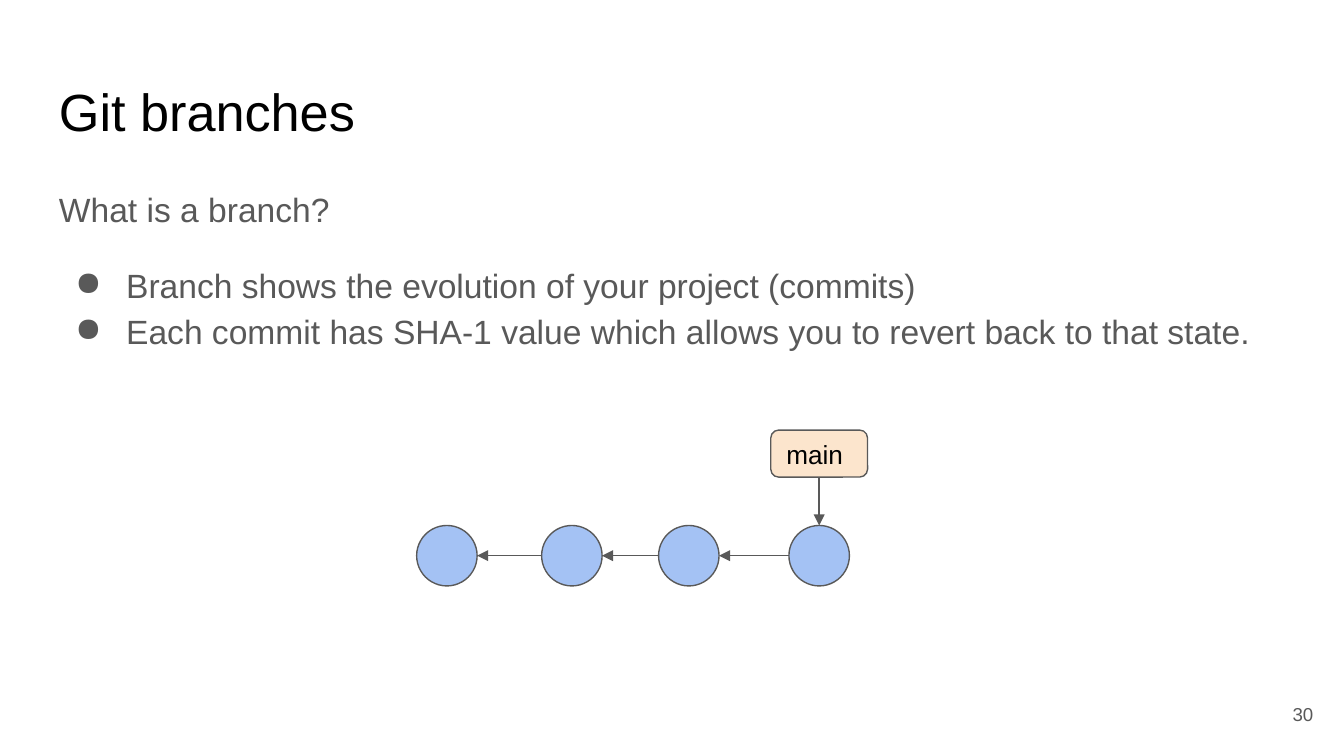
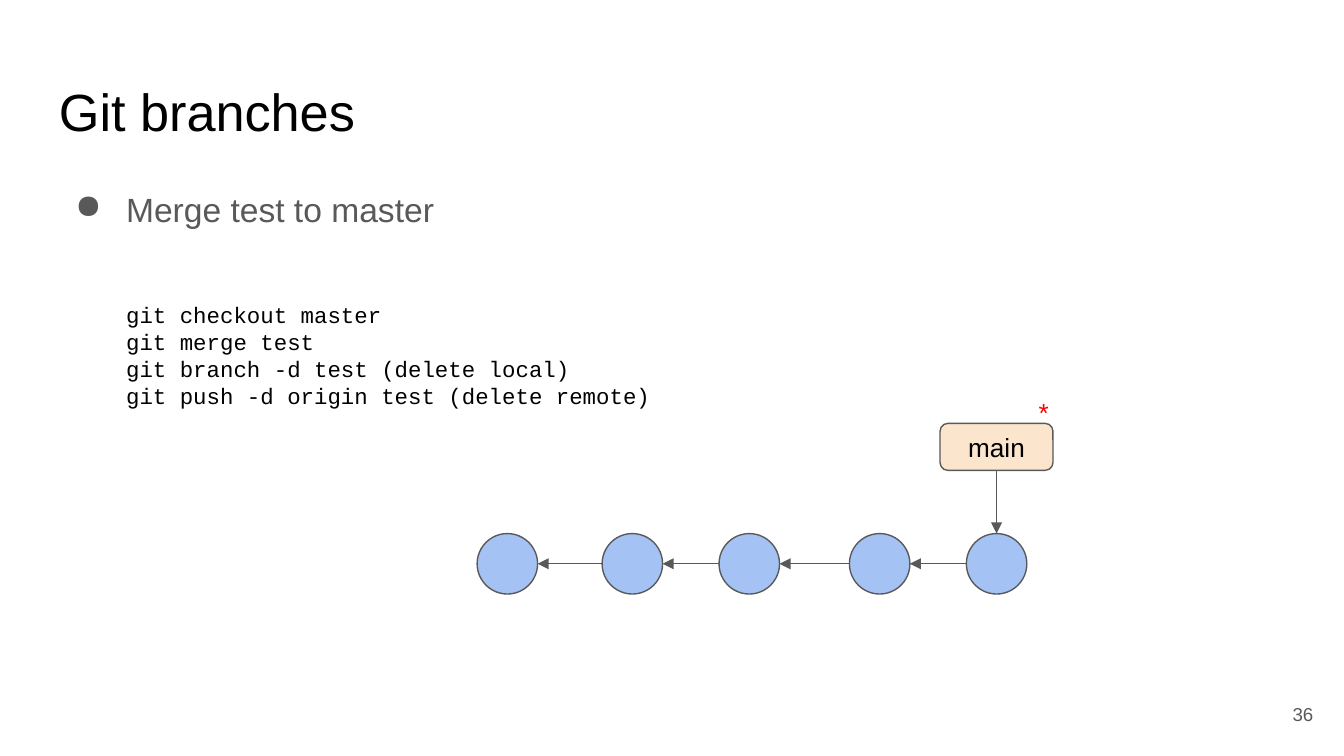
from lxml import etree
from pptx import Presentation
from pptx.dml.color import RGBColor
from pptx.enum import shapes, text
from pptx.oxml import ns
from pptx.util import Inches, Pt

COLORS = {
    "black": "000000",
    "grey": "595959",
    "commit": "A4C2F4",
    "branch": "FCE5CD",
    "red": "FF0000",
}
COMMIT_SIZE = 0.45
COMMIT_OFFSETS = [0, 0.93, 1.8, 2.77, 3.64]
LABEL_HEIGHT = 0.35


def rgb(name):
    return RGBColor.from_string(COLORS[name])


class Deck:
    def __init__(self):
        self.prs = Presentation()
        self.prs.slide_width = Inches(10)
        self.prs.slide_height = Inches(5.625)
        self.s = None

    def slide(self, title, number):
        self.s = self.prs.slides.add_slide(self.prs.slide_layouts[6])
        self.text([title], 0.34, 0.49, 9.32, 0.63, size=28)
        self.text([number], 9.27, 5.1, 0.6, 0.43, size=10, color="grey",
                  align=text.PP_ALIGN.RIGHT, anchor=text.MSO_ANCHOR.MIDDLE)

    def fill_text(self, sp, lines, size, color, font="Arial",
                  align=text.PP_ALIGN.LEFT, anchor=text.MSO_ANCHOR.TOP):
        tf = sp.text_frame
        tf.word_wrap = True
        tf.vertical_anchor = anchor
        tf.margin_left = tf.margin_right = Inches(0.1)
        tf.margin_top = tf.margin_bottom = Inches(0.1)
        tf.text = "\n".join(lines)
        for p in tf.paragraphs:
            p.alignment = align
            for r in p.runs:
                r.font.name = font
                r.font.size = Pt(size)
                r.font.color.rgb = rgb(color)
        return tf

    def text(self, lines, x, y, w, h, size, color="black", **style):
        sp = self.s.shapes.add_textbox(Inches(x), Inches(y), Inches(w), Inches(h))
        return self.fill_text(sp, lines, size, color, **style)

    def body(self, bullets, w, h, intro=None):
        """Bulleted text under the title, after an optional plain first line."""
        lines = ([intro] if intro else []) + bullets
        tf = self.text(lines, 0.34, 1.26, w, h, size=18, color="grey")
        for p in tf.paragraphs:
            p.line_spacing = 1.15
        first = 1 if intro else 0
        for p in tf.paragraphs[first:]:
            self.bullet(p)
        if intro:
            tf.paragraphs[first].space_before = Pt(16)

    def bullet(self, p):
        pPr = p._p.get_or_add_pPr()
        pPr.set("marL", str(Inches(0.5)))
        pPr.set("indent", str(Inches(-0.38)))
        clr = etree.SubElement(pPr, ns.qn("a:buClr"))
        etree.SubElement(clr, ns.qn("a:srgbClr"), val=COLORS["grey"])
        etree.SubElement(pPr, ns.qn("a:buChar"), char="●")

    def shape(self, kind, x, y, w, h, fill):
        sp = self.s.shapes.add_shape(kind, Inches(x), Inches(y), Inches(w), Inches(h))
        sp.shadow.inherit = False
        sp.fill.solid()
        sp.fill.fore_color.rgb = rgb(fill)
        sp.line.color.rgb = rgb("grey")
        sp.line.width = Pt(0.75)
        return sp

    def arrow(self, x1, y1, x2, y2):
        c = self.s.shapes.add_connector(
            shapes.MSO_CONNECTOR.STRAIGHT,
            Inches(x1), Inches(y1), Inches(x2), Inches(y2))
        c.line.color.rgb = rgb("grey")
        c.line.width = Pt(0.75)
        spPr = c._element.spPr
        etree.SubElement(spPr.find(ns.qn("a:ln")), ns.qn("a:tailEnd"), type="triangle")
        etree.SubElement(spPr, ns.qn("a:effectLst"))
        return c

    def history(self, count, x, y):
        """A row of commits, each pointing back to its parent; returns the last."""
        lefts = [x + dx for dx in COMMIT_OFFSETS[:count]]
        commits = [self.shape(shapes.MSO_SHAPE.OVAL, left, y, COMMIT_SIZE,
                              COMMIT_SIZE, "commit") for left in lefts]
        middle = y + COMMIT_SIZE / 2
        for parent, child in zip(lefts, lefts[1:]):
            self.arrow(child, middle, parent + COMMIT_SIZE, middle)
        return commits[-1]

    def branch(self, name, commit, y, w, align):
        """A branch label centred above the commit it points to."""
        center = (commit.left + commit.width / 2) / Inches(1)
        label = self.shape(shapes.MSO_SHAPE.ROUNDED_RECTANGLE,
                           center - w / 2, y, w, LABEL_HEIGHT, "branch")
        self.fill_text(label, [name], 14, "black", align=align,
                       anchor=text.MSO_ANCHOR.MIDDLE)
        c = self.arrow(center, y + LABEL_HEIGHT, center, commit.top / Inches(1))
        c.begin_connect(label, 2)
        c.end_connect(commit, 0)


def main():
    deck = Deck()

    deck.slide("Git branches", "30")
    deck.body(["Branch shows the evolution of your project (commits)",
               "Each commit has SHA-1 value which allows you to revert back to that state."],
              9.32, 1.7, intro="What is a branch?")
    head = deck.history(4, 3.1, 3.91)
    deck.branch("main", head, 3.2, 0.72, text.PP_ALIGN.LEFT)

    deck.slide("Git branches", "36")
    deck.body(["Merge test to master"], 5.7, 0.63)
    deck.text(["git checkout master",
               "git merge test",
               "git branch -d test (delete local)",
               "git push -d origin test (delete remote)"],
              0.84, 2.14, 4.23, 1.21, size=12, font="Courier New")
    head = deck.history(5, 3.55, 3.97)
    deck.branch("main", head, 3.15, 0.84, text.PP_ALIGN.CENTER)
    deck.text(["*"], 7.63, 2.85, 0.33, 0.29, size=14, color="red")

    deck.prs.save("out.pptx")


if __name__ == "__main__":
    main()
